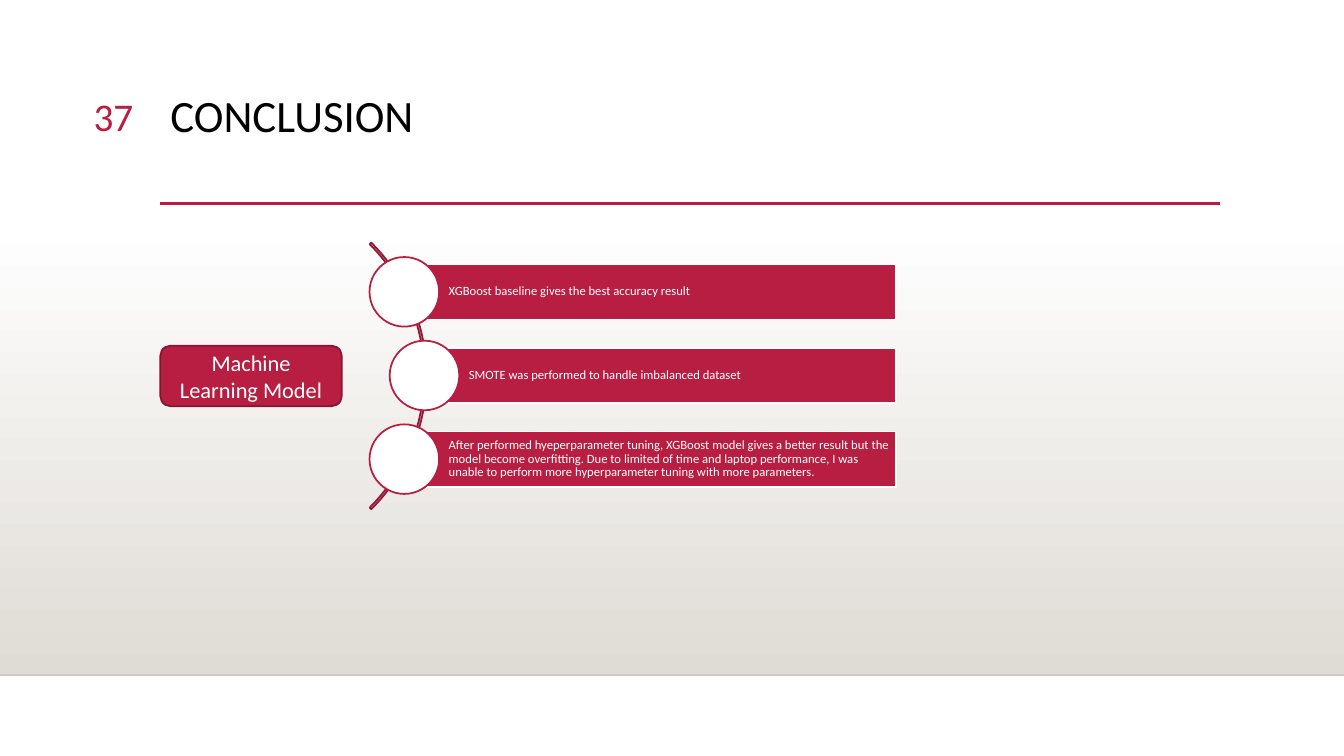
from typing import NamedTuple

from lxml import etree
from pptx import Presentation
from pptx.dml.color import RGBColor
from pptx.enum import shapes as sh, text as tx
from pptx.oxml.ns import qn
from pptx.util import Inches, Pt

HUES = {
    "white": "FFFFFF",
    "black": "000000",
    "sand": "DFDBD5",
    "red": "B71E42",
    "wine": "931835",
    "dark": "871631",
}
FONT = "Calibri"
KIND = sh.MSO_SHAPE
ALIGN = tx.PP_ALIGN
ANCHOR = tx.MSO_ANCHOR


class Point(NamedTuple):
    text: str
    left: float  # left edge of the bar


POINTS = [
    Point("XGBoost baseline gives the best accuracy result", 4.01),
    Point("SMOTE was performed to handle imbalanced dataset", 4.21),
    Point("After performed hyeperparameter tuning, XGBoost model gives a better "
          "result but the model become overfitting. Due to limited of time and "
          "laptop performance, I was unable to perform more hyperparameter "
          "tuning with more parameters.", 4.01),
]
BAR_TOP, BAR_END, BAR_H = 2.62, 8.89, 0.55
STEP = 0.83
DOT = 0.69


def hue(name: str) -> RGBColor:
    return RGBColor.from_string(HUES[name])


def write(shape, words: str, size: float, color: str, align=ALIGN.LEFT,
          anchor=ANCHOR.TOP, space: float = 1.0, pads=(0.1, 0.05, 0.1, 0.05)) -> None:
    """Fill a shape with one paragraph; pads are left, top, right, bottom."""
    frame = shape.text_frame
    frame.word_wrap = True
    frame.auto_size = tx.MSO_AUTO_SIZE.NONE
    frame.vertical_anchor = anchor
    (frame.margin_left, frame.margin_top,
     frame.margin_right, frame.margin_bottom) = map(Inches, pads)
    para = frame.paragraphs[0]
    para.alignment = align
    para.line_spacing = space
    run = para.add_run()
    run.text = words
    run.font.name = FONT
    run.font.size = Pt(size)
    run.font.color.rgb = hue(color)


def draw(slide, kind, box, fill: str = "", line: str = ""):
    shape = slide.shapes.add_shape(kind, *map(Inches, box))
    shape.shadow.inherit = False
    if fill:
        shape.fill.solid()
        shape.fill.fore_color.rgb = hue(fill)
    else:
        shape.fill.background()
    if line:
        shape.line.color.rgb = hue(line)
        shape.line.width = Pt(1.25)
    else:
        shape.line.fill.background()
    return shape


def rule(slide, left: float, right: float, top: float, color: str,
         width: float, alpha: int = 100) -> None:
    """Draw a level line; alpha is its opacity in percent."""
    line = slide.shapes.add_connector(
        sh.MSO_CONNECTOR.STRAIGHT, *map(Inches, (left, top, right, top)))
    line.line.color.rgb = hue(color)
    line.line.width = Pt(width)
    props = line._element.spPr
    etree.SubElement(props, qn("a:effectLst"))
    if alpha < 100:
        tint = props.find(".//" + qn("a:srgbClr"))
        etree.SubElement(tint, qn("a:alpha")).set("val", str(alpha * 1000))


def floor(slide) -> None:
    """Draw the background that fades from white down to sand."""
    band = draw(slide, KIND.RECTANGLE, (0, 2.21, 13.33, 4.49))
    band.fill.gradient()
    band.fill.gradient_angle = 270
    for stop, name in zip(band.fill.gradient_stops, ("white", "sand")):
        stop.color.rgb = hue(name)
    rule(slide, 0, 13.33, 6.7, "black", 1, alpha=20)
    rule(slide, 1.59, 12.1, 2.02, "red", 2.5)


def head(slide) -> None:
    title = slide.shapes.title
    title.left, title.top, title.width, title.height = map(
        Inches, (1.59, 0.88, 10.5, 1.15))
    write(title, "CONCLUSION", 32, "black", space=0.9)
    page = slide.shapes.add_textbox(*map(Inches, (0.53, 0.87, 0.89, 0.55)))
    write(page, "37", 28, "red", align=ALIGN.RIGHT)


def chain(slide) -> None:
    """Draw the arc with its bars and circles, and the topic box."""
    arc = draw(slide, KIND.BLOCK_ARC, (0.49, 1.86, 3.74, 3.74), line="wine")
    for i, value in enumerate((189, 27, 0.006)):
        arc.adjustments[i] = value
    for i, point in enumerate(POINTS):
        top = BAR_TOP + i * STEP
        bar = draw(slide, KIND.RECTANGLE,
                   (point.left, top, BAR_END - point.left, BAR_H), "red", "white")
        write(bar, point.text, 9, "white", anchor=ANCHOR.MIDDLE, space=0.9,
              pads=(0.44, 0.03, 0.03, 0.03))
        draw(slide, KIND.OVAL,
             (point.left - DOT / 2, top + (BAR_H - DOT) / 2, DOT, DOT),
             "white", "red")
    topic = draw(slide, KIND.ROUNDED_RECTANGLE, (1.59, 3.43, 1.8, 0.6), "red", "dark")
    write(topic, "Machine Learning Model", 16, "white",
          align=ALIGN.CENTER, anchor=ANCHOR.MIDDLE)


def main() -> None:
    deck = Presentation()
    deck.slide_width, deck.slide_height = Inches(13.33), Inches(7.5)
    slide = deck.slides.add_slide(deck.slide_layouts[5])
    floor(slide)
    head(slide)
    chain(slide)
    deck.save("out.pptx")


if __name__ == "__main__":
    main()
